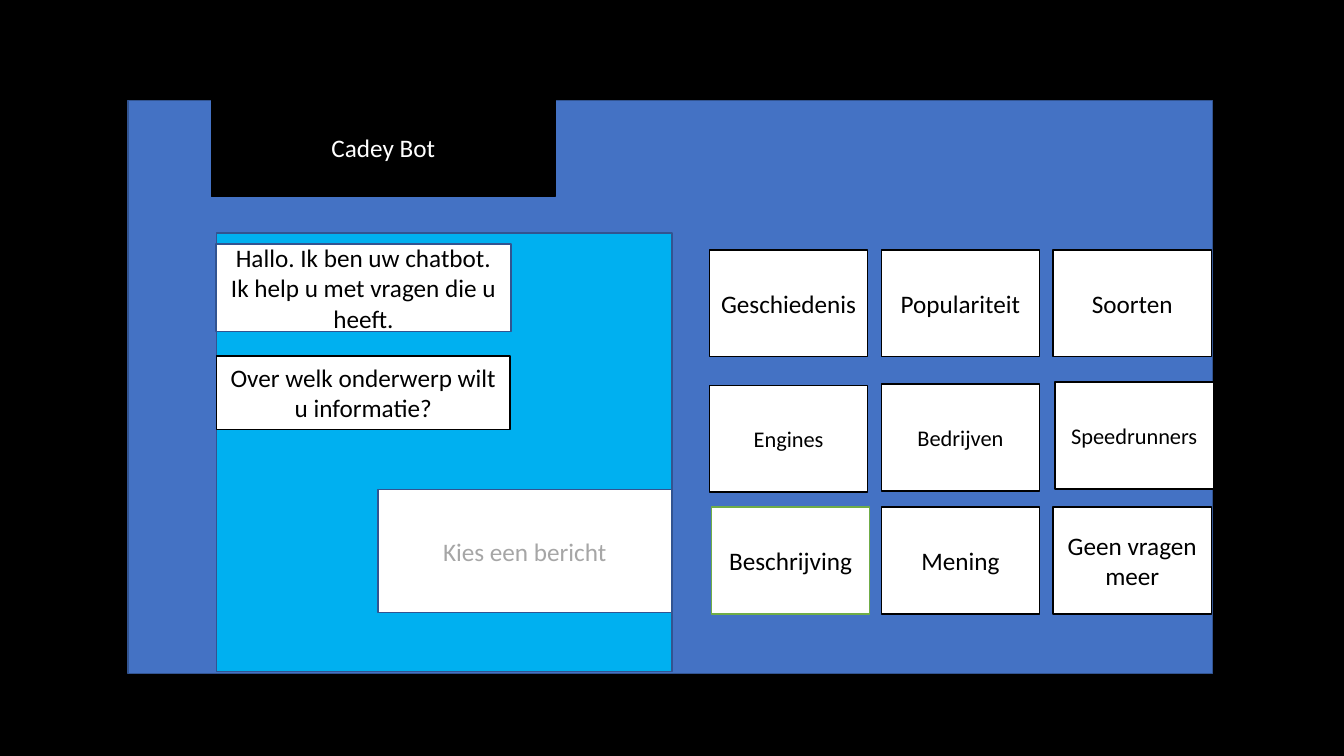
from pptx import Presentation
from pptx import util as u
from pptx.dml.color import RGBColor
from pptx.enum import shapes, text

COLORS = {
    "black": "000000", "white": "FFFFFF", "blue": "4472C4", "navy": "325491",
    "sky": "00B0F0", "green": "70AD47", "grey": "A6A6A6",
}
PANELS = [
    {"box": (0, 0, 33.87, 19.05), "fill": "black", "line": "black"},
    {"box": (3.23, 2.54, 27.33, 14.43), "fill": "blue", "line": "navy"},
    {"box": (5.33, 2.49, 8.66, 2.46), "fill": "black", "line": "black",
     "lines": ["Cadey Bot"], "color": "white", "rounded": True},
    {"box": (5.46, 5.87, 11.48, 11.05), "fill": "sky", "line": "navy"},
]
MESSAGES = [
    {"box": (5.44, 6.15, 7.44, 2.21), "line": "navy",
     "lines": ["Hallo. Ik ben uw chatbot.", "Ik help u met vragen die u heeft."]},
    {"box": (5.46, 8.97, 7.39, 1.85),
     "lines": ["Over welk onderwerp wilt u informatie?"]},
    {"box": (9.53, 12.34, 7.39, 3.1), "line": "navy", "color": "grey",
     "lines": ["Kies een bericht"]},
]
TOPICS = [
    ["Geschiedenis", "Populariteit", "Soorten"],
    ["Engines", "Bedrijven", "Speedrunners"],
    ["Beschrijving", "Mening", "Geen vragen meer"],
]
ROW_TOPS = [6.3, 9.68, 12.78]
ROW_SIZES = [18, 16, 18]
TOPIC_LEFT, TOPIC_PITCH = 17.88, 4.33
TOPIC_WIDTH, TOPIC_HEIGHT = 3.99, 2.69
NUDGES = {"Engines": (0, 0.03), "Speedrunners": (0.05, -0.05), "Beschrijving": (0.05, 0)}
OUTLINES = {"Beschrijving": "green"}


def rgb(name):
    return RGBColor.from_string(COLORS[name])


def add_box(s, box, fill="white", line="black", lines=(), color="black", size=18, rounded=False):
    kind = shapes.MSO_SHAPE.ROUNDED_RECTANGLE if rounded else shapes.MSO_SHAPE.RECTANGLE
    sp = s.shapes.add_shape(kind, *map(u.Cm, box))
    if rounded:
        sp.adjustments[0] = 0
    sp.shadow.inherit = False
    sp.fill.solid()
    sp.fill.fore_color.rgb = rgb(fill)
    sp.line.color.rgb = rgb(line)
    sp.line.width = u.Pt(1)
    tf = sp.text_frame
    frame_format = {"word_wrap": True, "vertical_anchor": text.MSO_ANCHOR.MIDDLE}
    for key, value in frame_format.items():
        setattr(tf, key, value)
    for i, words in enumerate(lines):
        p = tf.add_paragraph() if i else tf.paragraphs[0]
        p.alignment = text.PP_ALIGN.CENTER
        r = p.add_run()
        r.text = words
        for key, value in {"name": "Calibri", "size": u.Pt(size)}.items():
            setattr(r.font, key, value)
        r.font.color.rgb = rgb(color)


def main():
    prs = Presentation()
    prs.slide_width, prs.slide_height = u.Cm(33.87), u.Cm(19.05)
    s = prs.slides.add_slide(prs.slide_layouts[6])
    for item in PANELS + MESSAGES:
        add_box(s, **item)
    for topics, top, size in zip(TOPICS, ROW_TOPS, ROW_SIZES):
        for col, topic in enumerate(topics):
            dx, dy = NUDGES.get(topic, (0, 0))
            box = (TOPIC_LEFT + col * TOPIC_PITCH + dx, top + dy, TOPIC_WIDTH, TOPIC_HEIGHT)
            add_box(s, box, line=OUTLINES.get(topic, "black"), lines=[topic], size=size)
    prs.save("out.pptx")


if __name__ == "__main__":
    main()
